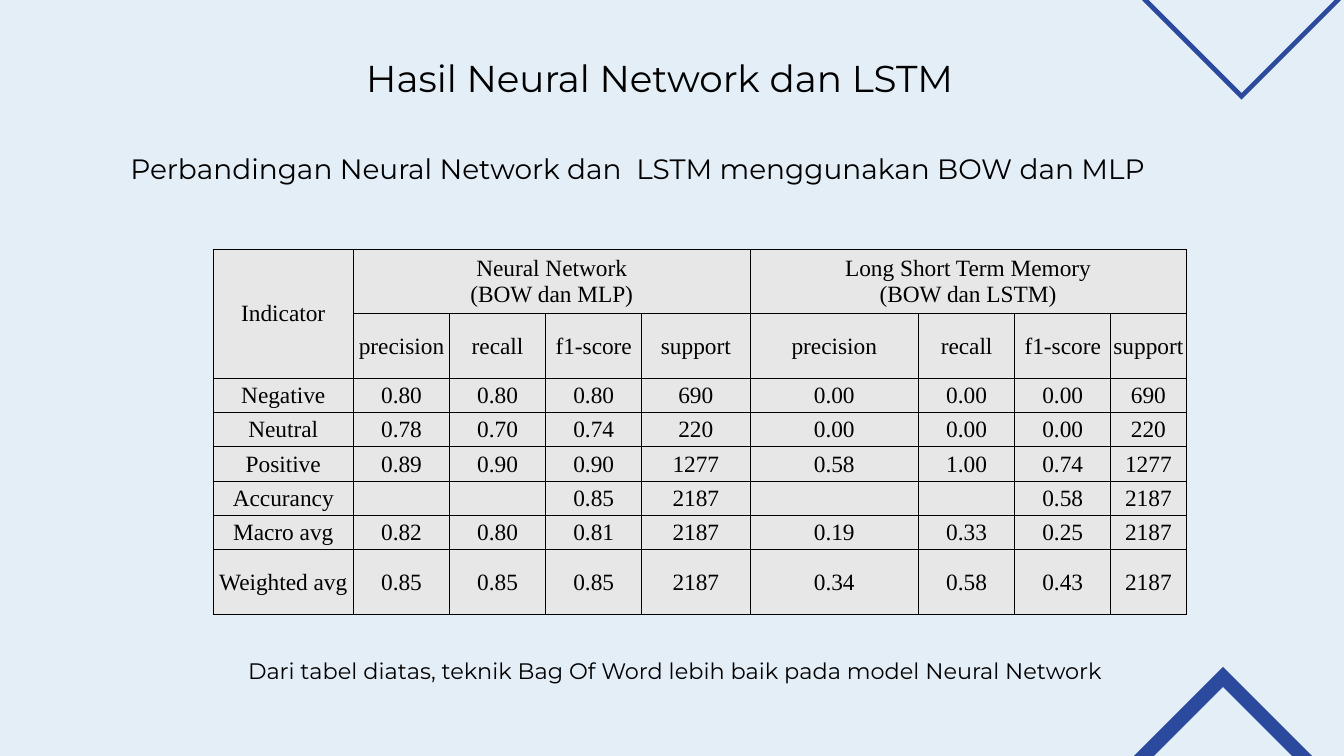
import dataclasses

import pptx
import pptx.dml.color
import pptx.enum.text
import pptx.oxml
import pptx.oxml.ns
import pptx.util

Inches = pptx.util.Inches
Align = pptx.enum.text.PP_ALIGN

COLUMN_WIDTHS = [2.09, 1.43, 1.43, 1.43, 1.61, 2.51, 1.43, 1.43, 1.12]
ROW_HEIGHTS = [0.96, 0.96] + [0.51] * 5 + [0.96]
METRICS = ["precision", "recall", "f1-score", "support"]
RESULTS = [
    ["Indicator", "Neural Network\n(BOW dan MLP)", "", "", "",
     "Long Short Term Memory\n(BOW dan LSTM)", "", "", ""],
    [""] + METRICS * 2,
    ["Negative", "0.80", "0.80", "0.80", "690", "0.00", "0.00", "0.00", "690"],
    ["Neutral", "0.78", "0.70", "0.74", "220", "0.00", "0.00", "0.00", "220"],
    ["Positive", "0.89", "0.90", "0.90", "1277", "0.58", "1.00", "0.74", "1277"],
    ["Accurancy", "", "", "0.85", "2187", "", "", "0.58", "2187"],
    ["Macro avg", "0.82", "0.80", "0.81", "2187", "0.19", "0.33", "0.25", "2187"],
    ["Weighted avg", "0.85", "0.85", "0.85", "2187", "0.34", "0.58", "0.43", "2187"],
]
HEADER_SPANS = [((0, 0), (1, 0)), ((0, 1), (0, 4)), ((0, 5), (0, 8))]


@dataclasses.dataclass(frozen=True)
class Theme:
    """Colours, fonts and type sizes of the deck."""

    background: str = "E3EEF6"
    accent: str = "2B4A9D"
    ink: str = "000000"
    cell: str = "E7E7E7"
    text_font: str = "Montserrat"
    table_font: str = "Times New Roman"
    title_size: int = 40
    subtitle_size: int = 30
    note_size: int = 24
    table_size: int = 25


class SlideBuilder:
    """Draws each kind of element on the current slide in one theme."""

    def __init__(self, page, theme):
        """Keep the slide and theme, and paint the background."""
        self.page = page
        self.theme = theme
        self.paint(page.background.fill, theme.background)

    def paint(self, fill, color):
        """Give a fill one solid colour."""
        fill.solid()
        fill.fore_color.rgb = pptx.dml.color.RGBColor.from_string(color)

    def style(self, para, font_name, size, align):
        """Format a paragraph and its runs."""
        para.alignment = align
        for span in para.runs:
            span.font.name = font_name
            span.font.size = pptx.util.Pt(size)
            span.font.color.rgb = pptx.dml.color.RGBColor.from_string(self.theme.ink)

    def line_of_text(self, box, text, place, size, leading, align):
        """Place and format a single line of text."""
        box.left, box.top, box.width, box.height = map(Inches, place)
        frame = box.text_frame
        frame.text = text
        frame.word_wrap = True
        frame.auto_size = pptx.enum.text.MSO_AUTO_SIZE.SHAPE_TO_FIT_TEXT
        frame.vertical_anchor = pptx.enum.text.MSO_ANCHOR.TOP
        frame.margin_left = frame.margin_right = 0
        frame.margin_top = frame.margin_bottom = 0
        para = frame.paragraphs[0]
        para.line_spacing = pptx.util.Pt(leading)
        self.style(para, self.theme.text_font, size, align)

    def title(self, text, place):
        """Fill the title placeholder."""
        box = self.page.shapes.title
        self.line_of_text(box, text, place, self.theme.title_size, 56, Align.LEFT)

    def caption(self, text, place, size):
        """Add a centred line of text."""
        box = self.page.shapes.add_textbox(0, 0, 0, 0)
        self.line_of_text(box, text, place, size, 42, Align.CENTER)

    def diamond(self, left, top, side, band):
        """Add a hollow square turned by 45 degrees."""
        far, inner = left + side, side - band
        builder = self.page.shapes.build_freeform(
            Inches(left), Inches(top), scale=1.0)
        outline = [(far, top), (far, top + side), (left, top + side)]
        hole = [(left + band, top + inner), (left + inner, top + inner),
                (left + inner, top + band)]
        builder.add_line_segments([(Inches(x), Inches(y)) for x, y in outline])
        builder.move_to(Inches(left + band), Inches(top + band))
        builder.add_line_segments([(Inches(x), Inches(y)) for x, y in hole])
        shape = builder.convert_to_shape()
        shape.rotation = 45
        shape.shadow.inherit = False
        shape.line.fill.background()
        self.paint(shape.fill, self.theme.accent)

    def border(self, cell):
        """Draw a thin line on all four sides of a cell."""
        properties = cell._tc.get_or_add_tcPr()
        for index, side in enumerate(["lnL", "lnR", "lnT", "lnB"]):
            properties.insert(index, pptx.oxml.parse_xml(
                f'<a:{side} {pptx.oxml.ns.nsdecls("a")} w="12700"><a:solidFill>'
                f'<a:srgbClr val="{self.theme.ink}"/></a:solidFill></a:{side}>'))

    def table(self, rows, left, top, widths, heights, spans):
        """Add a bordered table with merged header cells."""
        table = self.page.shapes.add_table(
            len(rows), len(widths), Inches(left), Inches(top),
            Inches(sum(widths)), Inches(sum(heights))).table
        table.first_row = table.horz_banding = False
        for column, width in zip(table.columns, widths):
            column.width = Inches(width)
        for row, height, texts in zip(table.rows, heights, rows):
            row.height = Inches(height)
            for cell, text in zip(row.cells, texts):
                cell.text_frame.text = text
                cell.vertical_anchor = pptx.enum.text.MSO_ANCHOR.MIDDLE
                cell.margin_left = cell.margin_right = cell.margin_top = Inches(0.01)
                cell.margin_bottom = 0
                self.paint(cell.fill, self.theme.cell)
                self.border(cell)
                for para in cell.text_frame.paragraphs:
                    self.style(para, self.theme.table_font,
                               self.theme.table_size, Align.CENTER)
        for first, last in spans:
            table.cell(*first).merge(table.cell(*last))


def main():
    """Build the slide with the comparison of results."""
    deck = pptx.Presentation()
    deck.slide_width, deck.slide_height = Inches(20), Inches(11.25)
    theme = Theme()
    slide = SlideBuilder(deck.slides.add_slide(deck.slide_layouts[5]), theme)
    slide.diamond(14.83, 11.32, 6.74, 0.21)
    slide.diamond(17.43, -1.04, 2.09, 0.07)
    slide.caption("Perbandingan Neural Network dan  LSTM menggunakan BOW dan MLP",
                  (-0.47, 2.17, 19.92, 0.57), theme.subtitle_size)
    slide.title("Hasil Neural Network dan LSTM", (5.45, 0.71, 19.92, 0.74))
    slide.caption("Dari tabel diatas, teknik Bag Of Word lebih baik pada model Neural Network",
                  (0.08, 9.59, 19.92, 0.51), theme.note_size)
    slide.table(RESULTS, 3.17, 3.71, COLUMN_WIDTHS, ROW_HEIGHTS, HEADER_SPANS)
    deck.save("out.pptx")


if __name__ == "__main__":
    main()
